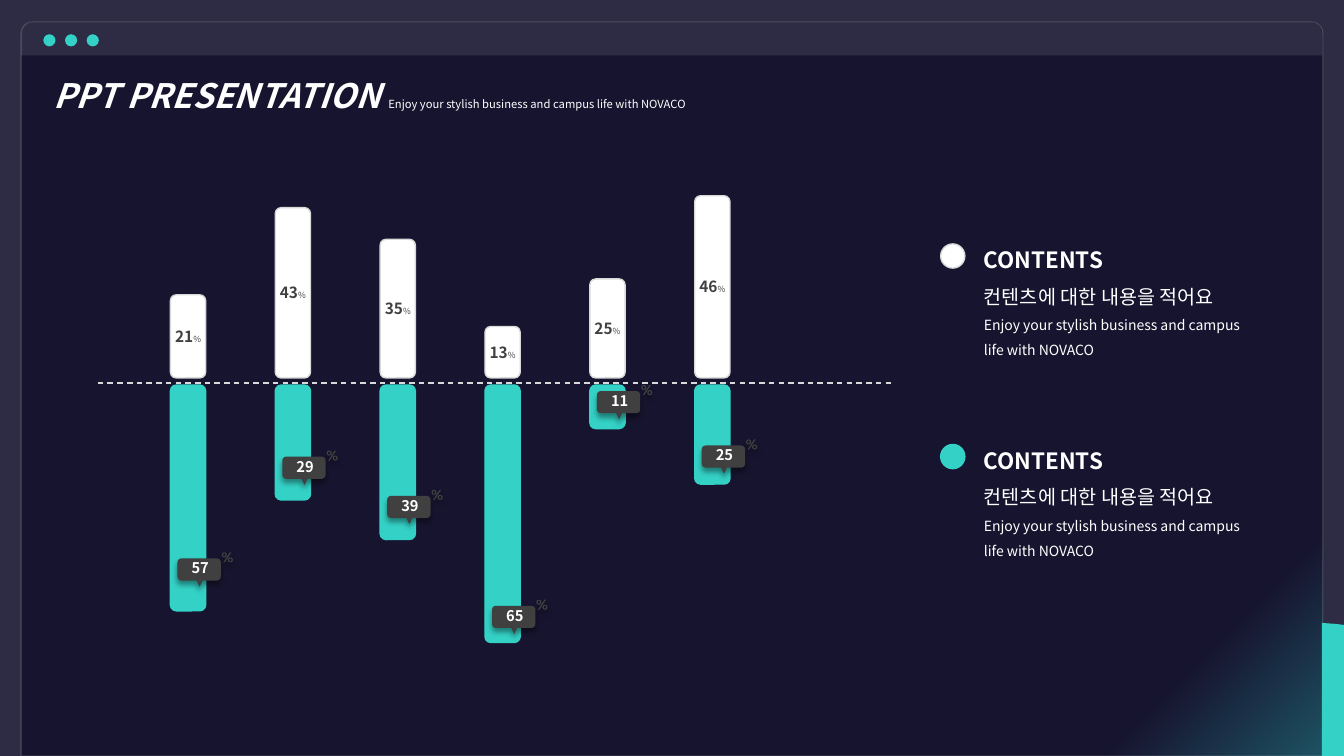
from math import cos, pi, sin

from lxml import etree
from pptx import Presentation
from pptx.dml.color import RGBColor
from pptx.enum.dml import MSO_LINE
from pptx.enum.shapes import MSO_CONNECTOR, MSO_SHAPE
from pptx.enum.text import MSO_ANCHOR, MSO_AUTO_SIZE, PP_ALIGN
from pptx.oxml import parse_xml
from pptx.oxml.ns import nsdecls, qn
from pptx.util import Inches, Pt

C = {"back": "2E2C44", "window": "17142F", "glow": "1D5262", "teal": "34D1C6",
     "white": "FFFFFF", "edge": "D9D9D9", "dark": "404040"}
FONT = "Noto Sans CJK KR"
SLOGAN = "Enjoy your stylish business and campus life with NOVACO"
BARS = [(21, 57, 5.48), (43, 29, 4.47), (35, 39, 4.86),
        (13, 65, 5.95), (25, 11, 3.82), (46, 25, 4.36)]
LEGEND = [(2.26, "white", "edge"), (4.25, "teal", "teal")]


def rgb(name):
    return RGBColor.from_string(C[name])


def add_run(p, text, size, color="white", bold=False, italic=False):
    r = p.add_run()
    r.text = text
    f = r.font
    f.size, f.bold, f.italic, f.name = Pt(size), bold, italic, FONT
    f.color.rgb = rgb(color)
    etree.SubElement(f._element, qn("a:ea"), typeface=FONT)


def set_margins(tf, left=0, top=0, right=0, bottom=0):
    tf.margin_left, tf.margin_top = Inches(left), Inches(top)
    tf.margin_right, tf.margin_bottom = Inches(right), Inches(bottom)


def style(sp, fill, line=None):
    sp.shadow.inherit = False
    sp.fill.solid()
    sp.fill.fore_color.rgb = rgb(fill)
    if line:
        sp.line.color.rgb = rgb(line)
        sp.line.width = Pt(1)
    else:
        sp.line.fill.background()
    return sp


def add_shape(s, kind, x, y, w, h, fill, line=None):
    sp = s.shapes.add_shape(kind, Inches(x), Inches(y), Inches(w), Inches(h))
    return style(sp, fill, line)


def set_alpha(fill_parent, percent):
    clr = next(fill_parent.iter(qn("a:srgbClr")))
    etree.SubElement(clr, qn("a:alpha"), val=str(percent * 1000))


def add_outline(s, contours, fill):
    fb = None
    for contour in contours:
        pts = [(Inches(x), Inches(y)) for x, y in contour]
        if fb is None:
            fb = s.shapes.build_freeform(*pts[0], scale=1.0)
        else:
            fb.move_to(*pts[0])
        fb.add_line_segments(pts[1:], close=True)
    return style(fb.convert_to_shape(), fill)


def arc(cx, cy, rx, ry, start=0, end=360, steps=16):
    angles = [(start + (end - start) * i / steps) * pi / 180 for i in range(steps + 1)]
    return [(cx + rx * cos(a), cy + ry * sin(a)) for a in angles]


def add_window(s, x, y, w, h):
    kind = MSO_SHAPE.ROUND_2_SAME_RECTANGLE
    frame = add_shape(s, kind, x, y, w, h, "window", "white")
    frame.adjustments[0], frame.adjustments[1] = 0.015, 0
    set_alpha(frame.line._ln, 14)
    pr = frame._element.spPr
    pr.replace(pr.find(qn("a:solidFill")), parse_xml(
        f'<a:gradFill {nsdecls("a")} rotWithShape="1"><a:gsLst>'
        f'<a:gs pos="0"><a:srgbClr val="{C["glow"]}"/></a:gs>'
        f'<a:gs pos="11000"><a:srgbClr val="{C["window"]}"/></a:gs></a:gsLst>'
        '<a:path path="circle"><a:fillToRect l="100000" t="100000"/></a:path>'
        '</a:gradFill>'))
    bar = add_shape(s, kind, x, y + 0.01, w - 0.01, 0.32, "white")
    bar.adjustments[0], bar.adjustments[1] = 0.29, 0
    set_alpha(bar._element.spPr, 10)
    for i in range(3):
        add_shape(s, MSO_SHAPE.OVAL, x + 0.22 + i * 0.215, y + 0.12, 0.12, 0.12, "teal")
    right, bottom = x + w, y + h
    add_outline(s, [[(right - 0.01, bottom - 1.32), (right + 0.13, bottom - 1.31),
                     (right + 0.21, bottom - 1.3), (right + 0.21, bottom),
                     (right - 0.01, bottom)]], "teal")


def add_callout(s, x, y, value):
    top, bottom, width, r = y + 0.06, y + 0.28, 0.43, 0.04
    bubble = (arc(x + r, top + r, r, r, 180, 270, 4)
              + arc(x + width - r, top + r, r, r, 270, 360, 4)
              + arc(x + width - r, bottom - r, r, r, 0, 90, 4)
              + [(x + 0.25, bottom), (x + 0.22, y + 0.34), (x + 0.19, bottom)]
              + arc(x + r, bottom - r, r, r, 90, 180, 4))
    slash = [(x + 0.52, y), (x + 0.535, y), (x + 0.47, y + 0.1), (x + 0.455, y + 0.1)]
    rings = [arc(x + dx, y + dy, rx, ry) for dx, dy in ((0.465, 0.025), (0.525, 0.075))
             for rx, ry in ((0.025, 0.025), (0.012, 0.015))]
    sp = add_outline(s, [bubble, slash] + rings, "dark")
    effects = sp._element.spPr.find(qn("a:effectLst"))
    effects.append(parse_xml(
        f'<a:outerShdw {nsdecls("a")} blurRad="{Pt(4)}" dist="{Pt(3)}" dir="5400000" '
        'algn="t" rotWithShape="0"><a:srgbClr val="000000"><a:alpha val="40000"/>'
        '</a:srgbClr></a:outerShdw>'))
    tf = sp.text_frame
    set_margins(tf, 0.14, 0.05, 0.1, 0.08)
    tf.vertical_anchor = MSO_ANCHOR.MIDDLE
    tf.paragraphs[0].alignment = PP_ALIGN.LEFT
    add_run(tf.paragraphs[0], str(value), 10.5, bold=True)


def add_bars(s, x, y, w):
    unit, pitch, width = 0.0393, 1.04, 0.35
    axis = s.shapes.add_connector(MSO_CONNECTOR.STRAIGHT, Inches(x), Inches(y),
                                  Inches(x + w), Inches(y))
    axis.line.color.rgb = rgb("edge")
    axis.line.width = Pt(1)
    axis.line.dash_style = MSO_LINE.DASH
    etree.SubElement(axis._element.spPr, qn("a:effectLst"))
    for i, (above, below, callout_y) in enumerate(BARS):
        left = x + 0.72 + i * pitch
        kind = MSO_SHAPE.ROUNDED_RECTANGLE
        add_shape(s, kind, left, y + 0.02, width, below * unit, "teal", "teal")
        height = above * unit
        sp = add_shape(s, kind, left, y - 0.05 - height, width, height, "white", "edge")
        tf = sp.text_frame
        set_margins(tf)
        tf.word_wrap = False
        tf.vertical_anchor = MSO_ANCHOR.MIDDLE
        p = tf.paragraphs[0]
        p.alignment = PP_ALIGN.CENTER
        add_run(p, str(above), 11, "dark", bold=True)
        add_run(p, "%", 6, "dark")
        add_callout(s, left + 0.07, callout_y, below)


def add_legend(s, x, y, fill, line):
    add_shape(s, MSO_SHAPE.OVAL, x, y + 0.16, 0.24, 0.24, fill, line)
    box = s.shapes.add_textbox(Inches(x + 0.33), Inches(y), Inches(2.76), Inches(1.33))
    tf = box.text_frame
    tf.word_wrap = True
    tf.auto_size = MSO_AUTO_SIZE.SHAPE_TO_FIT_TEXT
    rows = [("CONTENTS", 16, True), ("컨텐츠에 대한 내용을 적어요", 14, False), (SLOGAN, 10, False)]
    for i, (text, size, bold) in enumerate(rows):
        p = tf.add_paragraph() if i else tf.paragraphs[0]
        p.line_spacing = 1.5
        add_run(p, text, size, bold=bold)


def add_title(s, x, y, w, h):
    title = s.shapes.title
    title.left, title.top, title.width, title.height = map(Inches, (x, y, w, h))
    tf = title.text_frame
    tf.word_wrap = True
    tf.auto_size = MSO_AUTO_SIZE.SHAPE_TO_FIT_TEXT
    tf.vertical_anchor = MSO_ANCHOR.TOP
    p = tf.paragraphs[0]
    p.alignment = PP_ALIGN.LEFT
    add_run(p, "PPT PRESENTATION ", 24, bold=True, italic=True)
    add_run(p, SLOGAN, 8)
    title.element.getparent().append(title.element)


def main():
    prs = Presentation()
    prs.slide_width, prs.slide_height = Inches(13.33), Inches(7.5)
    s = prs.slides.add_slide(prs.slide_layouts[5])
    s.background.fill.solid()
    s.background.fill.fore_color.rgb = rgb("back")
    add_window(s, 0.21, 0.22, 12.91, 7.28)
    add_bars(s, 0.97, 3.8, 7.87)
    for y, fill, line in LEGEND:
        add_legend(s, 9.33, y, fill, line)
    add_title(s, 0.43, 0.69, 9.46, 0.5)
    prs.save("out.pptx")


if __name__ == "__main__":
    main()
